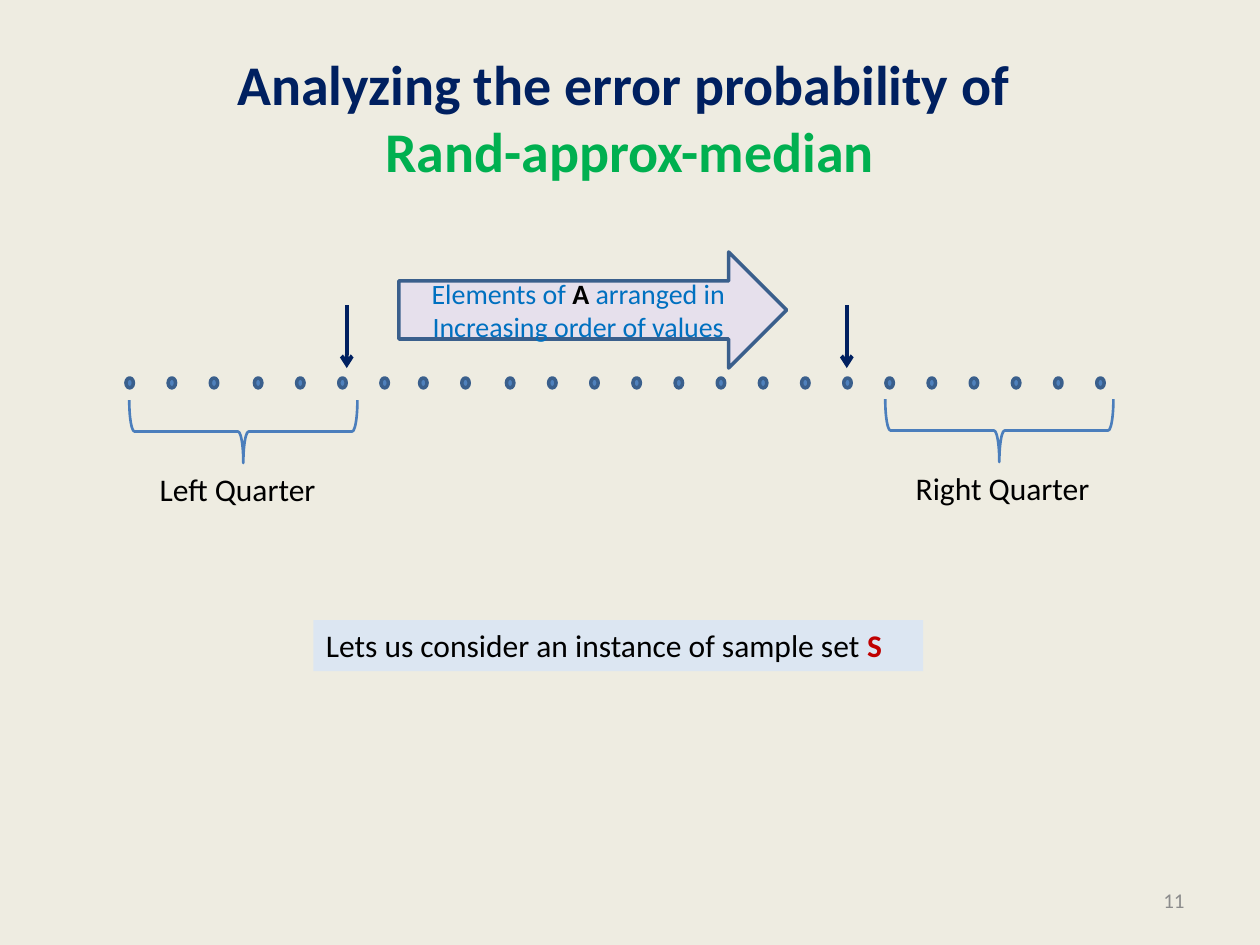
from lxml import etree
from pptx import Presentation
from pptx.dml.color import RGBColor
from pptx.enum.shapes import MSO_CONNECTOR as CONN, MSO_SHAPE as SHAPE
from pptx.enum.text import MSO_ANCHOR as ANCHOR, PP_ALIGN as ALIGN
from pptx.oxml.ns import qn
from pptx.util import Cm, Pt

C = {"bg": "EEECE1", "navy": "002060", "green": "00B050", "blue": "0070C0",
     "black": "000000", "red": "C00000", "gray": "8C8C8C", "dot": "4F81BD",
     "edge": "3A5F8C", "brace": "4B7EBC", "lilac": "E6E0EC", "pale": "DCE6F2"}

TITLE = [("Analyzing the error probability of ", "navy", True), "\n",
         ("Rand-approx-median", "green", True)]
ARROW = [("Elements of ", "blue", False), ("A", "black", True),
         (" arranged in Increasing order of values", "blue", False)]
SAMPLE = [("Lets us consider an instance of sample set ", "black", False),
          ("S", "red", True)]
NUMBER = [("11", "gray", False)]
QUARTERS = [("Right Quarter", 19.51, 6.38, 4.06), ("Left Quarter", 4.27, 6.4, 3.71)]
DOT_RUNS = [(2.54, 3), (5.13, 4), (8.46, 2), (10.21, 15)]
DOT_PITCH = 0.85
MARKERS = [6.99, 17.07]


def rgb(name):
    return RGBColor.from_string(C[name])


def write(sp, runs, size, align=ALIGN.LEFT, anchor=ANCHOR.TOP):
    tf = sp.text_frame
    tf.word_wrap = True
    tf.vertical_anchor = anchor
    p = tf.paragraphs[0]
    p.alignment = align
    for run in runs:
        if run == "\n":
            p.add_line_break()
            continue
        text, color, bold = run
        r = p.add_run()
        r.text = text
        r.font.name = "Calibri"
        r.font.size = Pt(size)
        r.font.bold = bold
        r.font.color.rgb = rgb(color)


def add_text(s, box, runs, size, fill=None, **layout):
    sp = s.shapes.add_textbox(*map(Cm, box))
    if fill:
        sp.fill.solid()
        sp.fill.fore_color.rgb = rgb(fill)
    write(sp, runs, size, **layout)


def add_shape(s, kind, box, line, width, fill=None):
    sp = s.shapes.add_shape(kind, *map(Cm, box))
    sp.shadow.inherit = False
    if fill:
        sp.fill.solid()
        sp.fill.fore_color.rgb = rgb(fill)
    else:
        sp.fill.background()
    sp.line.color.rgb = rgb(line)
    sp.line.width = Pt(width)
    return sp


def add_marker(s, x):
    sp = s.shapes.add_connector(CONN.STRAIGHT, Cm(x), Cm(6.15), Cm(x), Cm(7.42))
    sp.line.color.rgb = rgb("navy")
    sp.line.width = Pt(2.25)
    etree.SubElement(sp.line._get_or_add_ln(), qn("a:tailEnd"), type="arrow")
    etree.SubElement(sp._element.spPr, qn("a:effectLst"))


def main():
    prs = Presentation()
    prs.slide_width, prs.slide_height = Cm(25.4), Cm(19.05)
    s = prs.slides.add_slide(prs.slide_layouts[5])
    s.background.fill.solid()
    s.background.fill.fore_color.rgb = rgb("bg")

    title = s.shapes.title
    title.left, title.top, title.width, title.height = map(Cm, (1.27, 0.76, 22.86, 3.18))
    write(title, TITLE, 32, ALIGN.CENTER, ANCHOR.MIDDLE)
    add_text(s, (18.2, 17.65, 5.93, 1.01), NUMBER, 12,
             align=ALIGN.RIGHT, anchor=ANCHOR.MIDDLE)

    for start, count in DOT_RUNS:
        for i in range(count):
            add_shape(s, SHAPE.OVAL, (start + i * DOT_PITCH, 7.62, 0.15, 0.2),
                      "edge", 2, "dot")
    for x in MARKERS:
        add_marker(s, x)
    for label, x, y, width in QUARTERS:
        brace = add_shape(s, SHAPE.RIGHT_BRACE, (x, y, 1.27, 4.6), "brace", 1.5)
        brace.rotation = 90
        add_text(s, (x - 1.3, y + 2.95, width, 1.03), [(label, "black", False)], 18)

    arrow = add_shape(s, SHAPE.RIGHT_ARROW, (8.04, 5.08, 7.82, 2.34), "edge", 2, "lilac")
    write(arrow, ARROW, 16, ALIGN.CENTER, ANCHOR.MIDDLE)
    add_text(s, (6.32, 12.5, 12.29, 1.03), SAMPLE, 18, "pale")
    prs.save("out.pptx")


if __name__ == "__main__":
    main()
